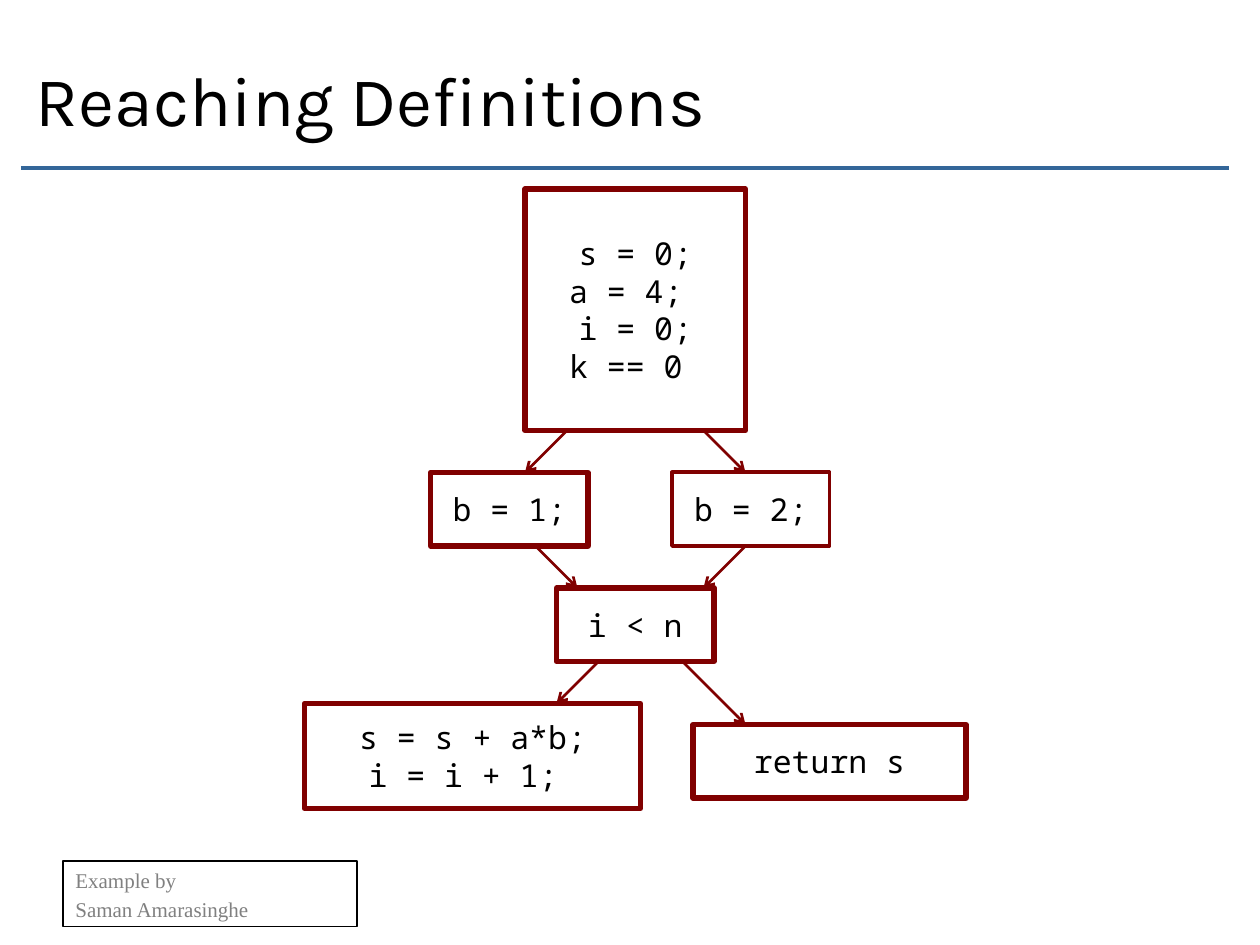
import pptx
import pptx.util
import pptx.dml.color
import pptx.enum.shapes
import pptx.enum.text
import pptx.oxml.ns
import lxml.etree
import dataclasses


@dataclasses.dataclass(frozen=True)
class Theme:
    black: str = "000000"
    grey: str = "808080"
    maroon: str = "800000"
    blue: str = "336699"
    title_font: str = "Karla"
    code_font: str = "Noto Sans Mono"
    credit_font: str = "Times New Roman"
    title_size: float = 40
    code_size: float = 18
    credit_size: float = 12
    code_spacing: float = 21.5
    credit_gap: float = 2.3


class FlowSlide:
    CELL = pptx.util.Inches(1) / 12

    def __init__(self, deck, theme):
        self.theme = theme
        self.shapes = deck.slides.add_slide(deck.slide_layouts[6]).shapes

    def grid(self, *cells):
        return [round(cell * self.CELL) for cell in cells]

    def color(self, value):
        return pptx.dml.color.RGBColor.from_string(value)

    def apply(self, target, values):
        for name, value in values.items():
            setattr(target, name, value)

    def outline(self, shape, color, width):
        shape.line.color.rgb = self.color(color)
        shape.line.width = pptx.util.Pt(width)

    def fill_text(self, shape, lines, font, size, color, frame_format, para_format):
        frame = shape.text_frame
        self.apply(frame, frame_format)
        for index, line in enumerate(lines):
            para = frame.paragraphs[0] if index == 0 else frame.add_paragraph()
            self.apply(para, para_format)
            span = para.add_run()
            span.text = line
            self.apply(span.font, {"name": font, "size": pptx.util.Pt(size)})
            span.font.color.rgb = self.color(color)

    def frame_box(self, place, color, width):
        box = self.shapes.add_shape(
            pptx.enum.shapes.MSO_SHAPE.RECTANGLE, *self.grid(*place))
        box.shadow.inherit = False
        box.fill.background()
        self.outline(box, color, width)
        return box

    def title(self, text, place):
        theme = self.theme
        box = self.shapes.add_textbox(*self.grid(*place))
        self.fill_text(box, [text], theme.title_font, theme.title_size, theme.black,
                       {"word_wrap": True,
                        "vertical_anchor": pptx.enum.text.MSO_ANCHOR.MIDDLE}, {})

    def block(self, lines, place, width=3):
        theme = self.theme
        box = self.frame_box(place, theme.maroon, width)
        self.fill_text(box, lines, theme.code_font, theme.code_size, theme.black,
                       {"word_wrap": False,
                        "vertical_anchor": pptx.enum.text.MSO_ANCHOR.MIDDLE},
                       {"alignment": pptx.enum.text.PP_ALIGN.CENTER,
                        "line_spacing": pptx.util.Pt(theme.code_spacing)})

    def credit(self, lines, place):
        theme = self.theme
        box = self.frame_box(place, theme.black, 0.75)
        self.fill_text(box, lines, theme.credit_font, theme.credit_size, theme.grey,
                       {"word_wrap": True,
                        "vertical_anchor": pptx.enum.text.MSO_ANCHOR.TOP},
                       {"alignment": pptx.enum.text.PP_ALIGN.LEFT})
        box.text_frame.paragraphs[-1].space_before = pptx.util.Pt(theme.credit_gap)

    def line(self, ends, color, width):
        link = self.shapes.add_connector(
            pptx.enum.shapes.MSO_CONNECTOR.STRAIGHT, *self.grid(*ends))
        self.outline(link, color, width)
        lxml.etree.SubElement(link.element.spPr, pptx.oxml.ns.qn("a:effectLst"))
        return link

    def arrow(self, ends):
        link = self.line(ends, self.theme.maroon, 1.5)
        stroke = link.element.spPr.find(pptx.oxml.ns.qn("a:ln"))
        lxml.etree.SubElement(stroke, pptx.oxml.ns.qn("a:tailEnd"), type="arrow")


BLOCKS = [
    ([" s = 0; ", "a = 4; ", "i = 0;", "k == 0 "], (50, 18, 21, 23), 3),
    (["b = 1;"], (41, 45, 15, 7), 3),
    (["b = 2;"], (64, 45, 15, 7), 2.25),
    (["i < n"], (53, 56, 15, 7), 3),
    (["s = s + a*b;", "i = i + 1; "], (29, 67, 32, 10), 3),
    (["return s"], (66, 69, 26, 7), 3),
]
ARROWS = [
    (54, 41, 50, 45), (67, 41, 71, 45),
    (51, 52, 55, 56), (71, 52, 67, 56),
    (57, 63, 53, 67), (65, 63, 71, 69),
]

deck = pptx.Presentation()
deck.slide_width = pptx.util.Inches(10)
deck.slide_height = pptx.util.Inches(7.5)
theme = Theme()
page = FlowSlide(deck, theme)
page.line((2, 16, 117, 16), theme.blue, 2)
page.credit(["Example by", "Saman Amarasinghe"], (6, 82, 28, 6.25))
page.title("Reaching Definitions", (2.25, 2.2, 108, 14.4))
for lines, place, width in BLOCKS:
    page.block(lines, place, width)
for ends in ARROWS:
    page.arrow(ends)
deck.save("out.pptx")
